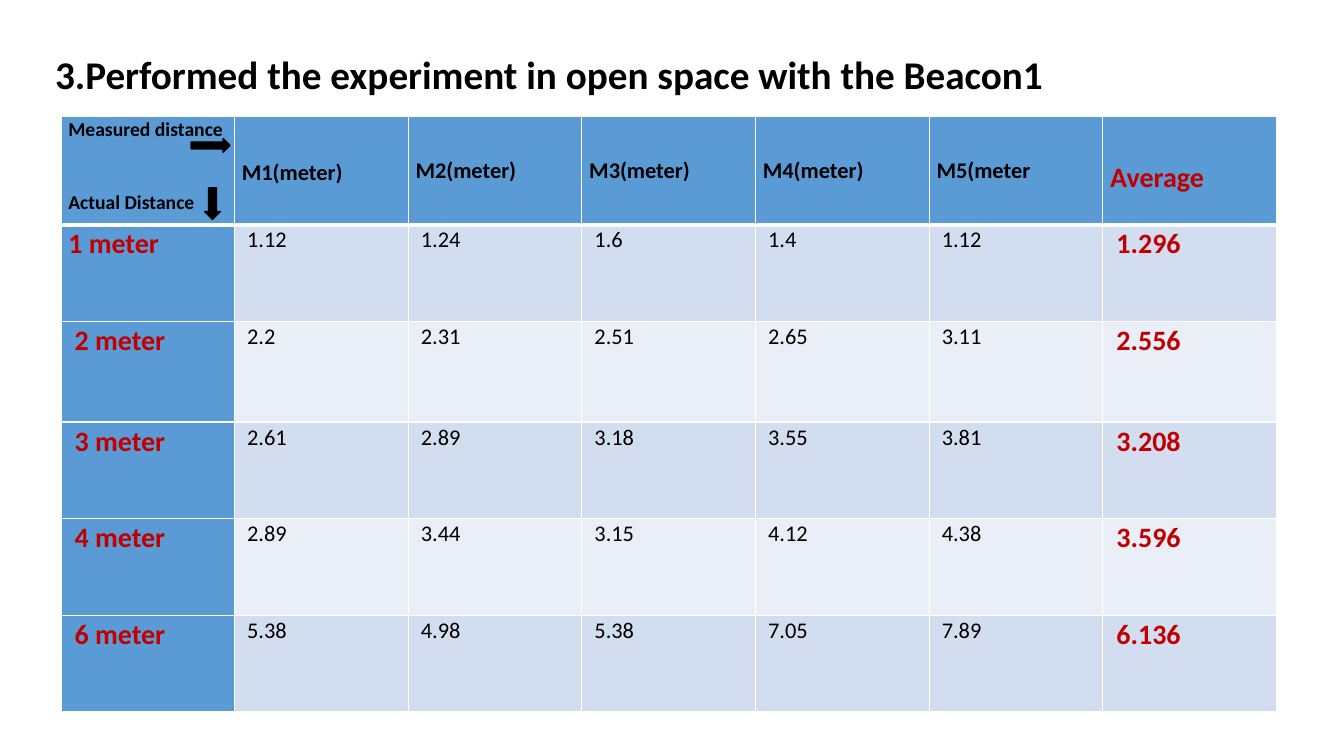
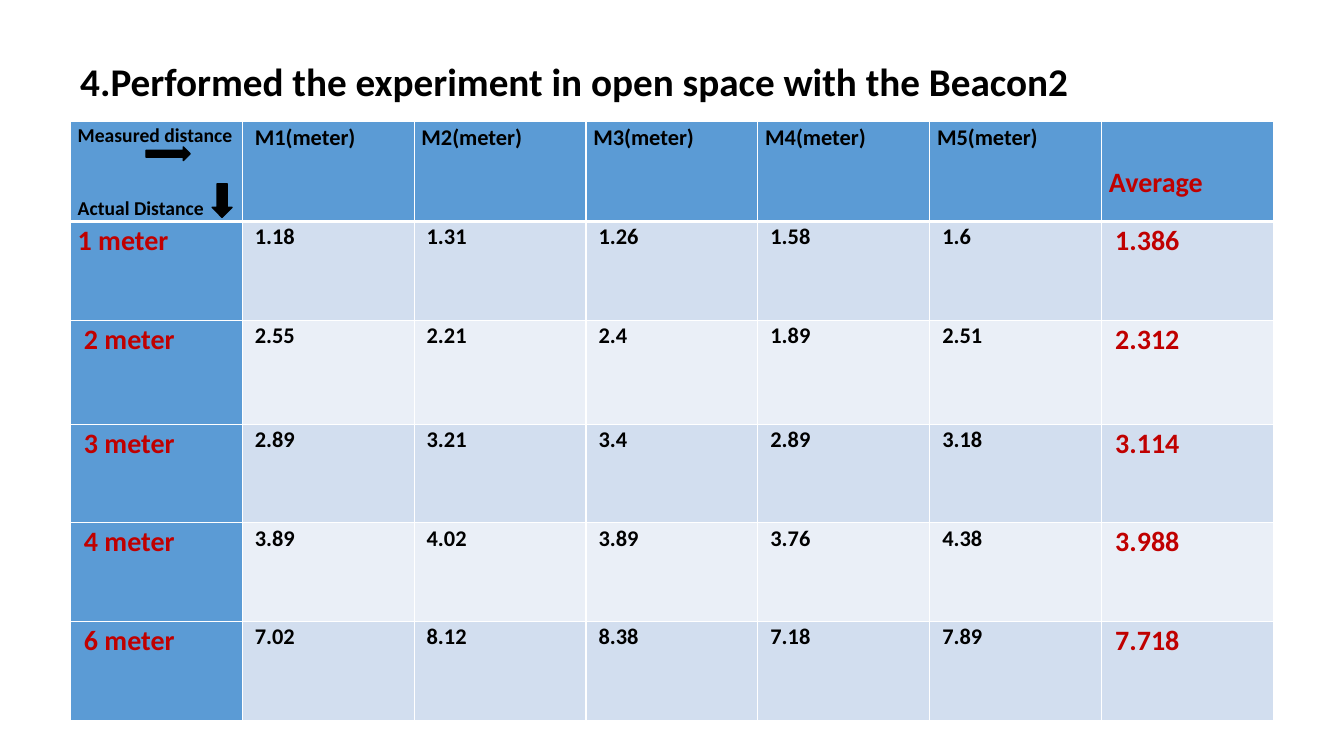
from dataclasses import dataclass

from lxml import etree
from pptx import Presentation
from pptx.dml.color import RGBColor
from pptx.enum.shapes import MSO_SHAPE
from pptx.oxml.ns import qn
from pptx.util import Emu, Pt

RIGHT = MSO_SHAPE.RIGHT_ARROW
DOWN = MSO_SHAPE.DOWN_ARROW
PX = 9525


@dataclass(frozen=True)
class Theme:
    """Colours, type sizes and spacings shared by the slides."""
    font: str = "Calibri"
    black: str = "000000"
    white: str = "FFFFFF"
    red: str = "C00000"
    head: str = "5B9BD5"
    bands: tuple = ("D2DEEF", "EAEFF7")
    title: int = 28
    strong: int = 20
    body: int = 16
    corner: int = 14
    leading: float = 1.07
    after: int = 8
    corner_gap: int = 26
    inset: int = 7
    value_indent: int = 5
    strong_indent: int = 6
    average_top: int = 40


T = Theme()

SLIDES = (
    dict(
        title="3.Performed the experiment in open space with the Beacon1",
        title_box=(43, 43, 1143, 55),
        box=(58, 111, 1158),
        rows=(103, 92, 96, 92, 92, 92),
        heads=(("M1(meter)", 39, 0), ("M2(meter)", 37, 0), ("M3(meter)", 37, 0),
               ("M4(meter)", 37, 0), ("M5(meter", 37, 0)),
        bold=False,
        values=(
            ("1 meter", "1.12", "1.24", "1.6", "1.4", "1.12", "1.296"),
            ("2 meter", "2.2", "2.31", "2.51", "2.65", "3.11", "2.556"),
            ("3 meter", "2.61", "2.89", "3.18", "3.55", "3.81", "3.208"),
            ("4 meter", "2.89", "3.44", "3.15", "4.12", "4.38", "3.596"),
            ("6 meter", "5.38", "4.98", "5.38", "7.05", "7.89", "6.136"),
        ),
        arrows=((RIGHT, 124, 21, 37, 13), (DOWN, 137, 68, 15, 30)),
    ),
    dict(
        title="4.Performed the experiment in open space with the Beacon2",
        title_box=(67, 50, 1096, 55),
        box=(67, 116, 1146),
        rows=(95, 94, 99, 94, 94, 94),
        heads=(("M1(meter)", 0, T.value_indent), ("M2(meter)", 0, 0),
               ("M3(meter)", 0, 0), ("M4(meter)", 0, 0), ("M5(meter)", 0, 0)),
        bold=True,
        values=(
            ("1 meter", "1.18", "1.31", "1.26", "1.58", "1.6", "1.386"),
            ("2 meter", "2.55", "2.21", "2.4", "1.89", "2.51", "2.312"),
            ("3 meter", "2.89", "3.21", "3.4", "2.89", "3.18", "3.114"),
            ("4 meter", "3.89", "4.02", "3.89", "3.76", "4.38", "3.988"),
            ("6 meter", "7.02", "8.12", "8.38", "7.18", "7.89", "7.718"),
        ),
        arrows=((RIGHT, 72, 24, 42, 13), (DOWN, 135, 59, 19, 32)),
    ),
)


def px(*lengths):
    """Turn px lengths into EMU."""
    return [Emu(n * PX) for n in lengths]


def rgb(color):
    """Turn a hex string into a colour."""
    return RGBColor.from_string(color)


def write(p, text, size=T.body, color=T.black, bold=True,
          leading=None, before=None, after=None):
    """Write one formatted run into a paragraph."""
    p.line_spacing = leading
    p.space_before = None if before is None else Pt(before)
    p.space_after = None if after is None else Pt(after)
    r = p.add_run()
    r.text = text
    r.font.name, r.font.size, r.font.bold = T.font, Pt(size), bold
    r.font.color.rgb = rgb(color)


def write_cell(cell, *lines, top=0, indent=0, gap=0, **fmt):
    """Fill a cell with lines of text, set in from its top and left."""
    cell.margin_left, cell.margin_top, cell.margin_right, cell.margin_bottom = px(
        T.inset + indent, top, T.inset, 0)
    tf = cell.text_frame
    for i, line in enumerate(lines):
        p = tf.add_paragraph() if i else tf.paragraphs[0]
        write(p, line, leading=T.leading, before=gap if i else None,
              after=T.after, **fmt)


def paint_cell(cell, fill, top, bottom):
    """Give a cell its fill and white borders."""
    tc_pr = cell._tc.get_or_add_tcPr()
    for side, width in (("L", 1), ("R", 1), ("T", top), ("B", bottom)):
        ln = etree.SubElement(tc_pr, qn(f"a:ln{side}"), w=str(Pt(width)))
        solid = etree.SubElement(ln, qn("a:solidFill"))
        etree.SubElement(solid, qn("a:srgbClr"), val=T.white)
    cell.fill.solid()
    cell.fill.fore_color.rgb = rgb(fill)


def add_title(s, box, text):
    """Place the slide title in its box."""
    tf = s.shapes.add_textbox(*px(*box)).text_frame
    tf.word_wrap = True
    write(tf.paragraphs[0], text, size=T.title)


def add_results(s, box, rows, heads, values, bold):
    """Place the table of measurements in its box."""
    n = len(values[0])
    tbl = s.shapes.add_table(len(rows), n, *px(*box, sum(rows))).table
    tbl.first_row = tbl.horz_banding = False
    for col in tbl.columns:
        col.width = Emu(box[2] * PX // n)
    for i, height in enumerate(rows):
        tbl.rows[i].height = px(height)[0]
        for j in range(n):
            fill = T.head if i == 0 or j == 0 else T.bands[(i - 1) % 2]
            paint_cell(tbl.cell(i, j), fill, 3 if i == 1 else 1, 3 if i == 0 else 1)

    strong = dict(size=T.strong, color=T.red)
    write_cell(tbl.cell(0, 0), "Measured distance", "Actual Distance",
               size=T.corner, gap=T.corner_gap)
    for j, (text, top, indent) in enumerate(heads, 1):
        write_cell(tbl.cell(0, j), text, top=top, indent=indent)
    write_cell(tbl.cell(0, n - 1), "Average", top=T.average_top, **strong)

    for i, (label, *readings, average) in enumerate(values, 1):
        write_cell(tbl.cell(i, 0), label,
                   indent=T.strong_indent if i > 1 else 0, **strong)
        for j, reading in enumerate(readings, 1):
            write_cell(tbl.cell(i, j), reading, indent=T.value_indent, bold=bold)
        write_cell(tbl.cell(i, n - 1), average, indent=T.strong_indent, **strong)


def add_arrows(s, box, arrows):
    """Place the axis arrows relative to the table box."""
    for kind, x, y, w, h in arrows:
        sp = s.shapes.add_shape(kind, *px(box[0] + x, box[1] + y, w, h))
        sp.shadow.inherit = False
        sp.fill.solid()
        sp.fill.fore_color.rgb = rgb(T.black)
        sp.line.color.rgb = rgb(T.black)
        sp.line.width = Pt(1)


def add_experiment(prs, title, title_box, box, rows, heads, bold, values, arrows):
    """Add one experiment slide."""
    s = prs.slides.add_slide(prs.slide_layouts[6])
    add_results(s, box, rows, heads, values, bold)
    add_arrows(s, box, arrows)
    add_title(s, title_box, title)


def main():
    """Build and save the presentation."""
    prs = Presentation()
    prs.slide_width, prs.slide_height = px(1280, 720)
    for content in SLIDES:
        add_experiment(prs, **content)
    prs.save("out.pptx")


if __name__ == "__main__":
    main()
